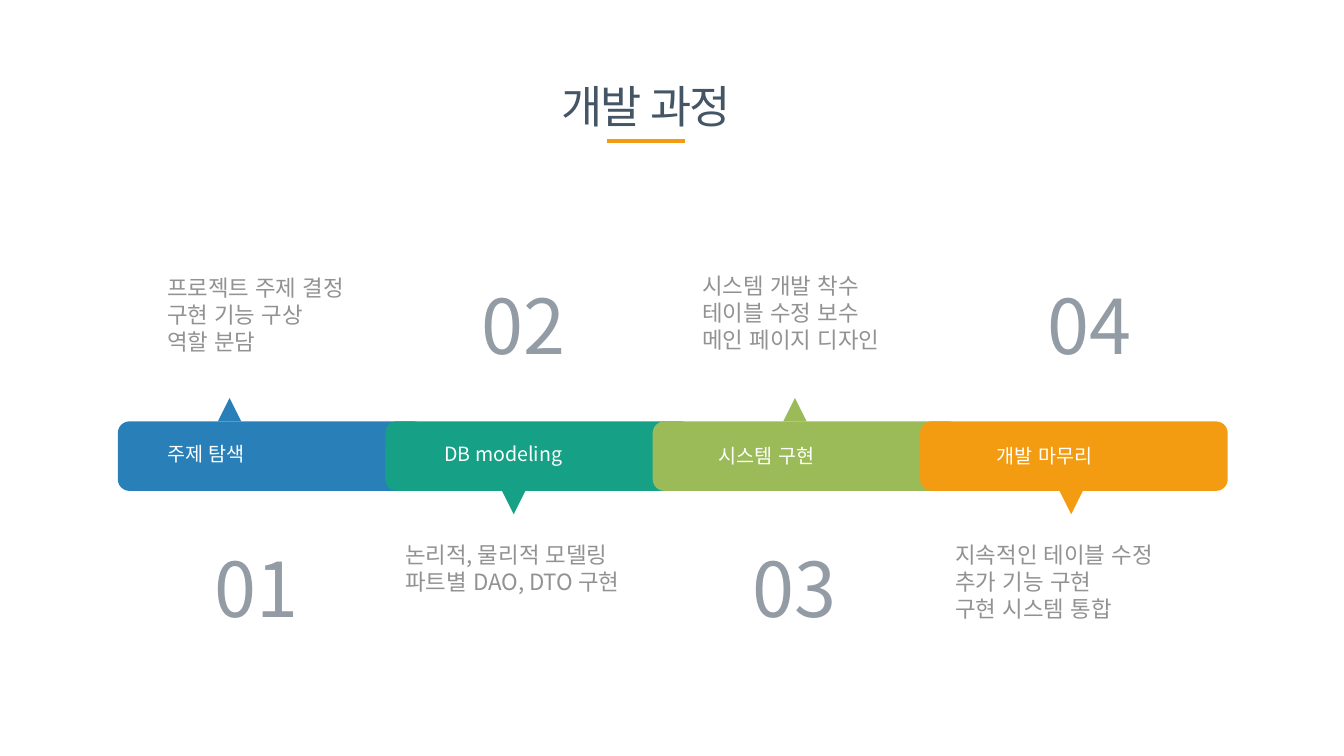
"""Build the development process slide with its four-stage timeline."""
from lxml import etree
from pptx import Presentation
from pptx.dml.color import RGBColor
from pptx.enum import lang, shapes, text
from pptx.oxml import ns
from pptx.util import Cm, Pt

FONT = "Noto Sans CJK KR"
SLATE = RGBColor(0x44, 0x55, 0x66)
STEEL = RGBColor(0x93, 0x9B, 0xA5)
GRAY = RGBColor(0x92, 0x92, 0x92)
WHITE = RGBColor(0xFF, 0xFF, 0xFF)
BLUE = RGBColor(0x29, 0x80, 0xB9)
TEAL = RGBColor(0x16, 0xA0, 0x85)
GREEN = RGBColor(0x9B, 0xBB, 0x59)
ORANGE = RGBColor(0xF3, 0x9C, 0x12)

CENTER = text.PP_ALIGN.CENTER
JUSTIFY = text.PP_ALIGN.JUSTIFY
LEFT = text.PP_ALIGN.LEFT

BAR_LEFT, BAR_STEP, BAR_TOP = 2.97, 6.74, 10.62
BAR_WIDTH, BAR_HEIGHT = 7.75, 1.75
POINTER = 0.59

STAGES = [
    {"color": BLUE, "pointer": 5.49, "number": (3.23, 13.54),
     "label": ("주제 탐색", 3.96, 11.02), "detail": (3.96, 6.78, 5.74),
     "lines": ["프로젝트 주제 결정", "구현 기능 구상", "역할 분담"]},
    {"color": TEAL, "pointer": 12.65, "number": (9.96, 6.91),
     "label": ("DB modeling", 10.95, 11.02), "detail": (9.96, 13.51, 6.48),
     "lines": ["논리적, 물리적 모델링", "파트별 DAO, DTO 구현"]},
    {"color": GREEN, "pointer": 19.74, "number": (16.79, 13.54),
     "label": ("시스템 구현", 17.86, 11.05), "detail": (17.45, 6.73, 5.82),
     "lines": ["시스템 개발 착수", "테이블 수정 보수", "메인 페이지 디자인"]},
    {"color": ORANGE, "pointer": 26.7, "number": (24.21, 6.91),
     "label": ("개발 마무리", 24.87, 11.05), "detail": (23.83, 13.51, 6.48),
     "lines": ["지속적인 테이블 수정", "추가 기능 구현", "구현 시스템 통합"]},
]


def add_text(slide, box, lines, size, color, align, spacing=None):
    """Add a wrapped text box with one paragraph per line."""
    frame = slide.shapes.add_textbox(*map(Cm, box)).text_frame
    frame.word_wrap = True
    frame.auto_size = text.MSO_AUTO_SIZE.SHAPE_TO_FIT_TEXT
    formats = {"name": FONT, "size": Pt(size),
               "language_id": lang.MSO_LANGUAGE_ID.KOREAN}
    for index, line in enumerate(lines):
        paragraph = frame.add_paragraph() if index else frame.paragraphs[0]
        paragraph.alignment = align
        run = paragraph.add_run()
        run.text = line
        run.font.color.rgb = color
        for key, value in formats.items():
            setattr(run.font, key, value)
        properties = run._r.get_or_add_rPr()
        latin = properties.find(ns.qn("a:latin"))
        east_asian = etree.Element(ns.qn("a:ea"), typeface=FONT)
        latin.addnext(east_asian)
        if spacing is not None:
            properties.set("spc", str(spacing))


def add_block(slide, kind, box, color, rotation=0):
    """Add a filled preset shape without outline or shadow."""
    block = slide.shapes.add_shape(kind, *map(Cm, box))
    block.fill.solid()
    block.fill.fore_color.rgb = color
    block.line.fill.background()
    block.shadow.inherit = False
    block.rotation = rotation


def add_underline(slide, left, right, top):
    """Add the accent line below the title."""
    underline = slide.shapes.add_connector(
        shapes.MSO_CONNECTOR.STRAIGHT, Cm(left), Cm(top), Cm(right), Cm(top))
    underline.line.color.rgb = ORANGE
    underline.line.width = Pt(3)
    etree.SubElement(underline._element.spPr, ns.qn("a:effectLst"))


def add_stage(slide, index, stage):
    """Add one stage with its bar, pointer, details, number and label."""
    above = index % 2 == 0
    bar = (BAR_LEFT + index * BAR_STEP, BAR_TOP, BAR_WIDTH, BAR_HEIGHT)
    add_block(slide, shapes.MSO_SHAPE.ROUNDED_RECTANGLE, bar, stage["color"])
    pointer_top = BAR_TOP - POINTER if above else BAR_TOP + BAR_HEIGHT
    add_block(slide, shapes.MSO_SHAPE.ISOSCELES_TRIANGLE,
              (stage["pointer"], pointer_top, POINTER, POINTER),
              stage["color"], 0 if above else 180)
    lines = stage["lines"]
    detail_height = 0.25 + 0.69 * len(lines)
    add_text(slide, (*stage["detail"], detail_height), lines, 16, GRAY, JUSTIFY)
    add_text(slide, (*stage["number"], 6.48, 2.57), [f"{index + 1:02}"],
             54, STEEL, CENTER)
    label, left, top = stage["label"]
    add_text(slide, (left, top, 5.99, 0.86), [label], 14, WHITE, LEFT)


def main():
    """Build and save the slide."""
    deck = Presentation()
    deck.slide_width, deck.slide_height = Cm(33.87), Cm(19.05)
    slide = deck.slides.add_slide(deck.slide_layouts[6])
    add_text(slide, (10.49, 1.85, 11.58, 1.63), ["개발 과정"],
             32, SLATE, CENTER, -150)
    add_underline(slide, 15.29, 17.27, 3.56)
    for index, stage in enumerate(STAGES):
        add_stage(slide, index, stage)
    deck.save("out.pptx")


if __name__ == "__main__":
    main()
